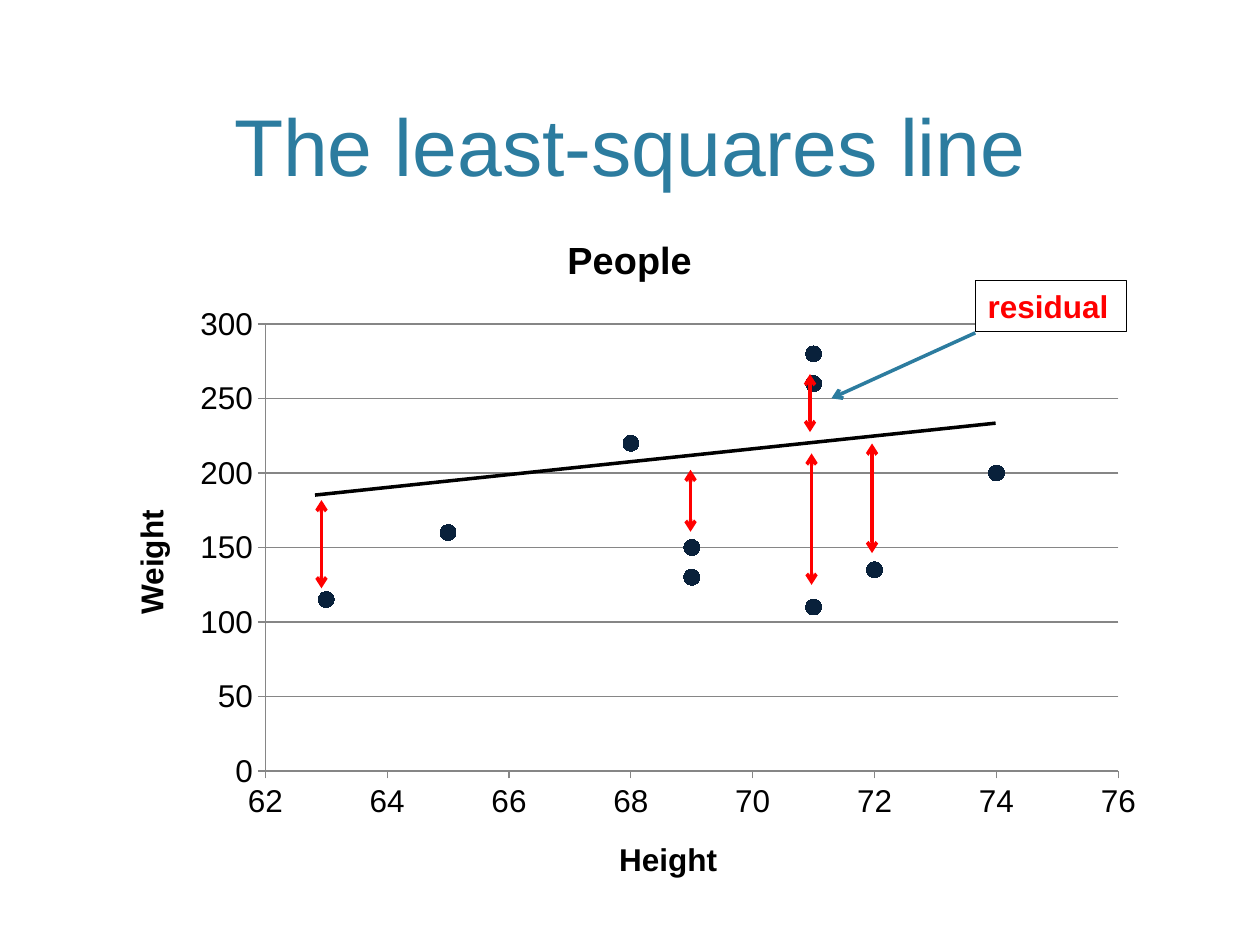
from lxml.etree import SubElement
from pptx import Presentation
from pptx.chart.data import XyChartData
from pptx.dml.color import RGBColor
from pptx.enum.chart import XL_CHART_TYPE, XL_MARKER_STYLE, XL_TICK_MARK
from pptx.enum.shapes import MSO_CONNECTOR, MSO_SHAPE
from pptx.enum.text import MSO_ANCHOR, MSO_AUTO_SIZE, PP_ALIGN
from pptx.oxml import parse_xml
from pptx.oxml.ns import nsdecls, qn
from pptx.util import Cm, Pt

BLACK, RED, BLUE, NAVY, GREY = "000000", "FF0000", "2C7C9F", "09213B", "868686"


def color(value):
    return RGBColor.from_string(value)


def add_line(page, start, end, line_color, arrow_ends=()):
    line = page.shapes.add_connector(
        MSO_CONNECTOR.STRAIGHT, *[Cm(value) for value in start + end])
    line.line.color.rgb = color(line_color)
    line.line.width = Pt(2)
    outline = line.line._get_or_add_ln()
    for name in arrow_ends:
        SubElement(outline, qn(f"a:{name}"), type="arrow")
    SubElement(line._element.spPr, qn("a:effectLst"))


deck = Presentation()
deck.slide_width, deck.slide_height = Cm(25.4), Cm(19.05)
page = deck.slides.add_slide(deck.slide_layouts[6])

# Title
box = page.shapes.add_textbox(Cm(1.52), Cm(0.3), Cm(22.35), Cm(3.71))
box.text_frame.word_wrap = True
box.text_frame.vertical_anchor = MSO_ANCHOR.BOTTOM
para = box.text_frame.paragraphs[0]
para.text = "The least-squares line"
para.alignment = PP_ALIGN.CENTER
para.font.name, para.font.size = "Arial", Pt(46)
para.font.color.rgb = color(BLUE)

# Scatter chart of weight against height
heights = [74, 68, 71, 63, 69, 65, 69, 71, 72, 71]
weights = [200, 220, 260, 115, 130, 160, 150, 110, 135, 280]
data = XyChartData()
people = data.add_series("People")
for height, weight in zip(heights, weights):
    people.add_data_point(height, weight)
chart = page.shapes.add_chart(
    XL_CHART_TYPE.XY_SCATTER, Cm(2.08), Cm(4.19), Cm(21.23), Cm(14.12), data).chart
chart.has_legend = False
chart.font.name, chart.font.size = "Arial", Pt(18)
chart.font.color.rgb = color(BLACK)
chart.plots[0].vary_by_categories = False

series = chart.plots[0].series[0]
series.smooth = False
series.format.line.fill.background()
series.marker.style, series.marker.size = XL_MARKER_STYLE.CIRCLE, 9
series.marker.format.fill.solid()
series.marker.format.fill.fore_color.rgb = color(NAVY)
series.marker.format.line.color.rgb = color(NAVY)

# Axes and chart titles
x_axis, y_axis = chart.category_axis, chart.value_axis
for axis, low, high, step in ((x_axis, 62, 76, 2), (y_axis, 0, 300, 50)):
    axis.minimum_scale, axis.maximum_scale, axis.major_unit = low, high, step
    axis.major_tick_mark = XL_TICK_MARK.OUTSIDE
    axis.minor_tick_mark = XL_TICK_MARK.NONE
    axis.format.line.color.rgb = color(GREY)
    axis.tick_labels.number_format = "General"
    axis.tick_labels.number_format_is_linked = False
x_axis.has_major_gridlines = False
y_axis.has_major_gridlines = True
y_axis.major_gridlines.format.line.color.rgb = color(GREY)

for owner, words, size in ((chart, "People", 21.6), (x_axis, "Height", 18), (y_axis, "Weight", 18)):
    owner.has_title = True
    frame = (owner.chart_title if owner is chart else owner.axis_title).text_frame
    frame.text = words
    font = frame.paragraphs[0].font
    font.name, font.size, font.bold = "Arial", Pt(size), True
    font.color.rgb = color(BLACK)

# Fixed plot area, so that the drawn lines meet the points
plot_area = chart._chartSpace.chart.plotArea
for old_layout in plot_area.findall(qn("c:layout")):
    plot_area.remove(old_layout)
plot_area.insert(0, parse_xml(
    f'<c:layout {nsdecls("c")}><c:manualLayout><c:layoutTarget val="inner"/>'
    '<c:xMode val="edge"/><c:yMode val="edge"/><c:x val="0.154"/><c:y val="0.166"/>'
    '<c:w val="0.81"/><c:h val="0.638"/></c:manualLayout></c:layout>'))

# Least-squares line
add_line(page, (6.35, 9.98), (20.07, 8.53), BLACK)

# Residuals: x, bottom, top
for x, bottom, top in ((6.48, 11.86, 10.08), (13.92, 10.72, 9.47), (16.36, 11.79, 9.14),
                       (17.58, 11.15, 8.94), (16.33, 8.71, 7.54)):
    add_line(page, (x, bottom), (x, top), RED, ("headEnd", "tailEnd"))

# Callout
add_line(page, (19.66, 6.71), (16.76, 8.03), BLUE, ("tailEnd",))
label = page.shapes.add_shape(MSO_SHAPE.RECTANGLE, Cm(19.66), Cm(5.66), Cm(3.05), Cm(1.02))
label.shadow.inherit = False
label.fill.solid()
label.fill.fore_color.rgb = color("FFFFFF")
label.line.color.rgb = color(BLACK)
label.line.width = Pt(0.75)
label.text_frame.word_wrap = False
label.text_frame.auto_size = MSO_AUTO_SIZE.SHAPE_TO_FIT_TEXT
label.text_frame.vertical_anchor = MSO_ANCHOR.TOP
para = label.text_frame.paragraphs[0]
para.text = "residual"
para.alignment = PP_ALIGN.LEFT
para.font.name, para.font.size, para.font.bold = "Arial", Pt(18), True
para.font.color.rgb = color(RED)

deck.save("out.pptx")
